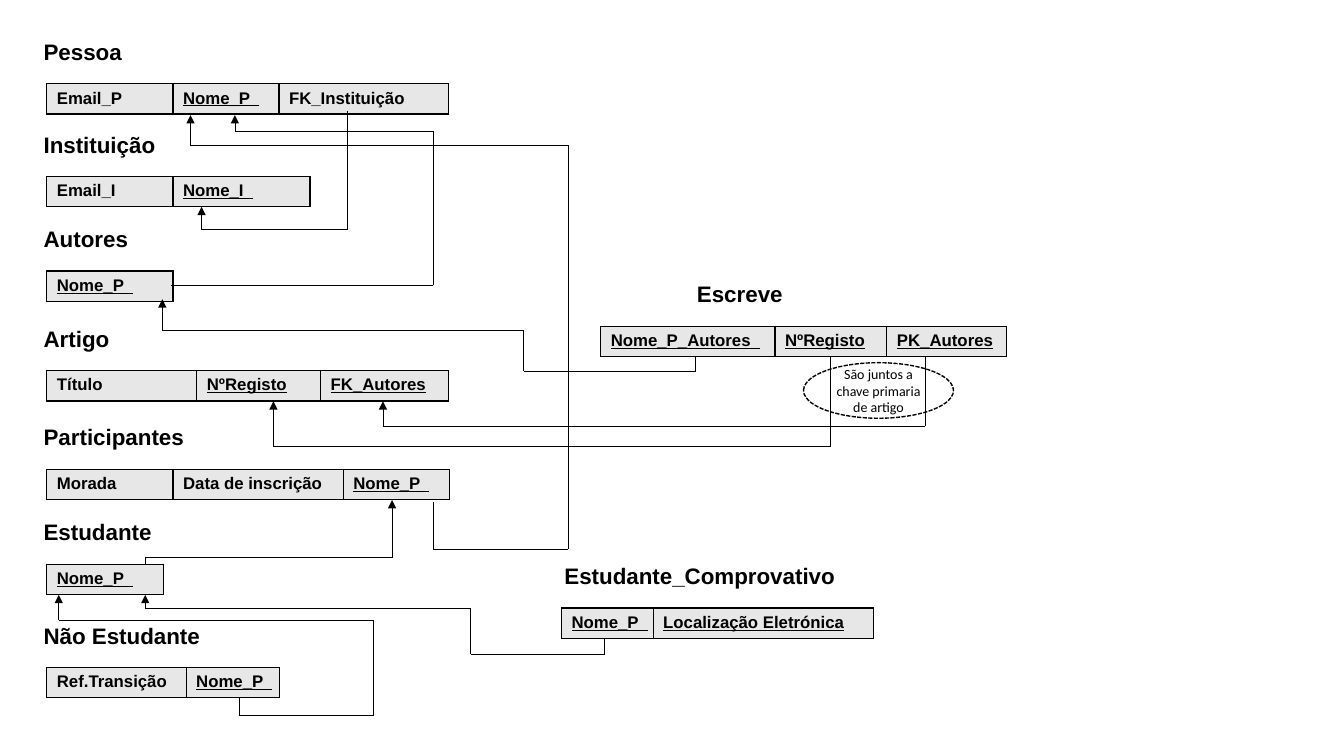
from itertools import pairwise

from lxml import etree
from pptx import Presentation
from pptx.dml.color import RGBColor
from pptx.enum.dml import MSO_LINE
from pptx.enum.shapes import MSO_CONNECTOR, MSO_SHAPE
from pptx.enum.text import MSO_ANCHOR, PP_ALIGN
from pptx.oxml.ns import qn
from pptx.util import Cm, Pt

STRAIGHT = MSO_CONNECTOR.STRAIGHT
ELLIPSE = MSO_SHAPE.OVAL
DASHED = MSO_LINE.SQUARE_DOT
MIDDLE = MSO_ANCHOR.MIDDLE
LEFT, CENTER = PP_ALIGN.LEFT, PP_ALIGN.CENTER

BLACK, WHITE, GREY = "000000", "FFFFFF", "E7E7E7"
ROW_HEIGHT = 0.75
CELL_MARGIN_RIGHT = 0.1
TITLE_HEIGHT = 0.94
TITLE_RISE = 1.28
KEY, PLAIN = True, False

LEFT_RELATIONS = [
    ("Pessoa", 2.82, 2.11, [("Email_P", 3.18, PLAIN), ("Nome_P  ", 2.67, KEY),
                            ("FK_Instituição", 4.27, PLAIN)]),
    ("Instituição", 3.45, 4.45, [("Email_I", 3.18, PLAIN), ("Nome_I  ", 3.45, KEY)]),
    ("Autores", 2.82, 6.83, [("Nome_P  ", 3.18, KEY)]),
    ("Artigo", 2.82, 9.34, [("Título", 3.78, PLAIN), ("NºRegisto", 3.12, KEY),
                            ("FK_Autores", 3.23, KEY)]),
    ("Participantes", 4.24, 11.83, [("Morada", 3.18, PLAIN),
                                    ("Data de inscrição", 4.29, PLAIN),
                                    ("Nome_P  ", 2.67, KEY)]),
    ("Estudante", 3.45, 14.22, [("Nome_P  ", 2.95, KEY)]),
    ("Não Estudante", 4.67, 16.82, [("Ref.Transição", 3.51, PLAIN),
                                    ("Nome_P  ", 2.36, KEY)]),
]
RIGHT_RELATIONS = [
    ("Estudante_Comprovativo", 13.95, 14.15, 15.32,
     [("Nome_P  ", 2.31, KEY), ("Localização Eletrónica", 5.56, KEY)]),
    ("Escreve", 14.96, 15.14, 8.22,
     [("Nome_P_Autores  ", 4.39, KEY), ("NºRegisto", 2.82, KEY),
      ("PK_Autores", 3.02, KEY)]),
]

PESSOA_REFERENCES = [
    [(8.76, 2.79), (8.76, 5.79), (5.08, 5.79), (5.08, 5.21)],
]
AUTORES_REFERENCES = [
    [(4.32, 7.19), (10.92, 7.19), (10.92, 3.3), (5.92, 3.3), (5.92, 2.9)],
]
PARTICIPANTES_REFERENCES = [
    [(10.92, 12.65), (10.92, 13.84), (14.32, 13.84), (14.32, 3.66),
     (4.8, 3.66), (4.8, 2.9)],
]
ESCREVE_REFERENCES = [
    [(17.53, 8.97), (17.53, 9.35), (13.2, 9.35), (13.2, 8.33),
     (4.09, 8.33), (4.09, 7.54)],
    [(20.93, 8.99), (20.93, 11.25), (6.89, 11.25), (6.89, 10.11)],
    [(23.32, 8.99), (23.32, 10.74), (9.65, 10.74), (9.65, 10.11)],
]
ESTUDANTE_REFERENCES = [
    [(3.66, 14.22), (3.66, 14.05), (9.88, 14.05), (9.88, 12.6)],
    [(15.24, 16.08), (15.24, 16.48), (11.86, 16.48), (11.86, 15.32),
     (3.66, 15.32), (3.66, 14.99)],
    [(6.02, 17.58), (6.02, 18.03), (9.4, 18.03), (9.4, 15.62),
     (1.48, 15.62), (1.48, 14.99)],
]
REFERENCES = (PESSOA_REFERENCES + AUTORES_REFERENCES + PARTICIPANTES_REFERENCES
              + ESCREVE_REFERENCES + ESTUDANTE_REFERENCES)


def color(value):
    return RGBColor.from_string(value)


def write(frame, text, size=12, font="Arial", bold=True, underline=False, align=LEFT):
    frame.word_wrap = True
    para = frame.paragraphs[0]
    para.alignment = align
    span = para.add_run()
    span.text = text
    span.font.size = Pt(size)
    span.font.name = font
    span.font.bold = bold
    span.font.underline = underline
    span.font.color.rgb = color(BLACK)


def add_title(page, text, left, table_top, width, align=LEFT):
    box = page.shapes.add_textbox(Cm(left), Cm(table_top - TITLE_RISE),
                                  Cm(width), Cm(TITLE_HEIGHT))
    write(box.text_frame, text, size=16, align=align)


def add_borders(cell):
    properties = cell._tc.get_or_add_tcPr()
    for index, side in enumerate(("a:lnL", "a:lnR", "a:lnT", "a:lnB")):
        border = etree.Element(qn(side), w=str(Pt(1)))
        fill = etree.SubElement(border, qn("a:solidFill"))
        etree.SubElement(fill, qn("a:srgbClr"), val=BLACK)
        properties.insert(index, border)


def add_relation(page, left, top, fields):
    width = sum(field_width for _, field_width, _ in fields)
    table = page.shapes.add_table(1, len(fields), Cm(left), Cm(top),
                                  Cm(width), Cm(ROW_HEIGHT)).table
    table.first_row = False
    table.horz_banding = False
    for index, (name, field_width, is_key) in enumerate(fields):
        table.columns[index].width = Cm(field_width)
        cell = table.cell(0, index)
        cell.margin_right = Cm(CELL_MARGIN_RIGHT)
        cell.fill.solid()
        cell.fill.fore_color.rgb = color(GREY)
        add_borders(cell)
        write(cell.text_frame, name, underline=is_key)


def add_line(page, start, end, arrow):
    connector = page.shapes.add_connector(STRAIGHT, *map(Cm, start + end))
    connector.line.color.rgb = color(BLACK)
    connector.line.width = Pt(0.5)
    if arrow:
        etree.SubElement(connector.line._get_or_add_ln(), qn("a:tailEnd"), type="triangle")
    etree.SubElement(connector._element.spPr, qn("a:effectLst"))


def add_reference(page, points):
    for start, end in pairwise(points):
        add_line(page, start, end, arrow=end == points[-1])


def add_key_note(page, text, left, top, width, height):
    note = page.shapes.add_shape(ELLIPSE, Cm(left), Cm(top), Cm(width), Cm(height))
    note.shadow.inherit = False
    note.fill.solid()
    note.fill.fore_color.rgb = color(WHITE)
    note.line.color.rgb = color(BLACK)
    note.line.width = Pt(1)
    note.line.dash_style = DASHED
    note.text_frame.vertical_anchor = MIDDLE
    write(note.text_frame, text, size=10, font="Calibri", bold=False, align=CENTER)


def main():
    deck = Presentation()
    deck.slide_width, deck.slide_height = Cm(33.87), Cm(19.05)
    page = deck.slides.add_slide(deck.slide_layouts[6])
    add_key_note(page, "São juntos a chave primaria de artigo", 20.25, 9.14, 3.78, 1.4)
    for title, title_width, top, fields in LEFT_RELATIONS:
        add_title(page, title, 0.85, top, title_width)
        add_relation(page, 1.18, top, fields)
    for title, title_left, left, top, fields in RIGHT_RELATIONS:
        add_title(page, title, title_left, top, 7.37, align=CENTER)
        add_relation(page, left, top, fields)
    for points in REFERENCES:
        add_reference(page, points)
    deck.save("out.pptx")


main()
